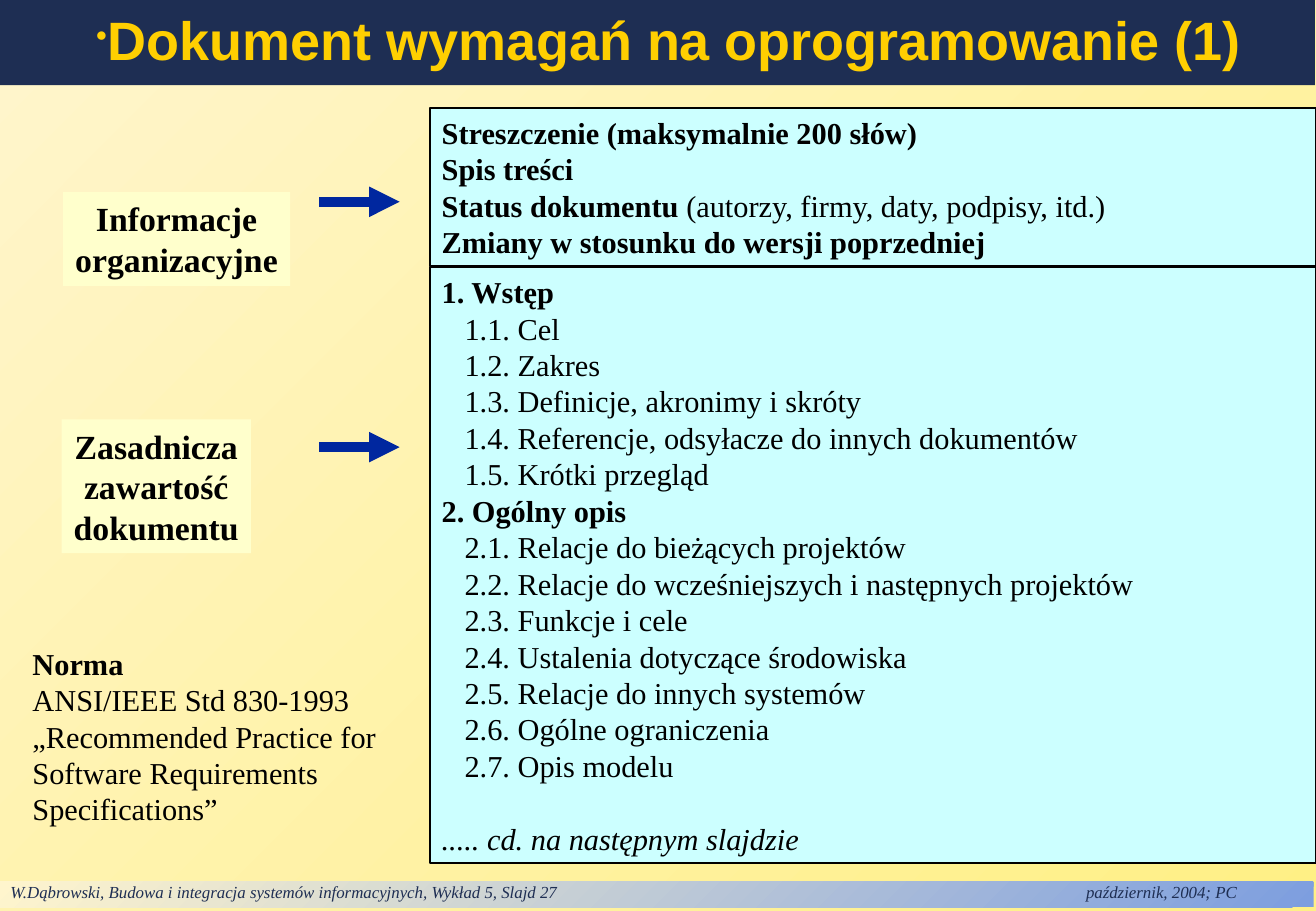
import pptx
import pptx.util
import pptx.dml.color
import pptx.enum.dml
import pptx.enum.shapes
import pptx.enum.text
import pptx.oxml
import pptx.oxml.ns
from lxml import etree

Cm, Pt = pptx.util.Cm, pptx.util.Pt
ALIGN = pptx.enum.text.PP_ALIGN
ANCHOR = pptx.enum.text.MSO_ANCHOR
NAVY, GOLD, BLUE, BLACK = "1E2E53", "FFCF01", "00279F", "000000"
CREAM, YELLOW, SKY, PALE, CYAN = "FFF5CD", "FFF085", "7D9EDF", "FFFFCC", "CCFFFF"


def rgb(value):
    return pptx.dml.color.RGBColor.from_string(value)


def add_xml(parent, tag, **attrs):
    el = etree.SubElement(parent, pptx.oxml.ns.qn(tag))
    for key, value in attrs.items():
        el.set(key, str(value))
    return el


class Slide:
    serif = "Times New Roman"
    sans = "Arial"

    def __init__(self, prs):
        self.s = prs.slides.add_slide(prs.slide_layouts[6])

    def gradient(self, fill, start, end):
        fill.gradient()
        fill.gradient_angle = 135
        for stop, color in zip(fill.gradient_stops, (start, end)):
            stop.color.rgb = rgb(color)

    def box(self, left, top, width, height, fill=None, line=None, wrap=True):
        area = Cm(left), Cm(top), Cm(width), Cm(height)
        if fill is None:
            sp = self.s.shapes.add_textbox(*area)
        else:
            sp = self.s.shapes.add_shape(pptx.enum.shapes.MSO_SHAPE.RECTANGLE, *area)
            sp.shadow.inherit = False
            if isinstance(fill, tuple):
                self.gradient(sp.fill, *fill)
            else:
                sp.fill.solid()
                sp.fill.fore_color.rgb = rgb(fill)
            if line:
                sp.line.color.rgb = rgb(line)
                sp.line.width = Pt(1)
            else:
                sp.line.fill.background()
        tf = sp.text_frame
        tf.word_wrap = wrap
        tf.vertical_anchor = ANCHOR.TOP
        return tf

    def paragraph(self, tf, runs, size=18, color=BLACK, font=None, align=ALIGN.LEFT, indent=0):
        p = tf.paragraphs[0]
        if p.runs:
            p = tf.add_paragraph()
        p.alignment = align
        if indent:
            p._p.get_or_add_pPr().set("marL", str(Cm(indent)))
        for text, style in runs:
            r = p.add_run()
            r.text = text
            r.font.name = font or self.serif
            r.font.size = Pt(size)
            r.font.color.rgb = rgb(color)
            r.font.bold = "b" in style
            r.font.italic = "i" in style
        return p

    def title(self, text):
        tf = self.box(0, 0, 27.51, 1.78, NAVY)
        tf.vertical_anchor = ANCHOR.MIDDLE
        p = self.paragraph(tf, [(text, "b")], 32, GOLD, self.sans)
        p.line_spacing = 0.9
        pPr = p._p.get_or_add_pPr()
        pPr.set("marL", str(Cm(0.74)))
        pPr.set("indent", str(Cm(1.02)))
        add_xml(add_xml(pPr, "a:buClr"), "a:srgbClr", val=GOLD)
        add_xml(pPr, "a:buSzPct", val=60000)
        add_xml(pPr, "a:buChar", char="•")

    def footer(self, text):
        tf = self.box(-0.03, 18.44, 27.51, 0.53, (SKY, CREAM))
        tf.margin_top, tf.margin_bottom = 0, Cm(0.1)
        p = self.paragraph(tf, [(text, "i")], 10, NAVY)
        tabs = add_xml(p._p.get_or_add_pPr(), "a:tabLst")
        add_xml(tabs, "a:tab", pos=Cm(22.5), algn="l")

    def label(self, left, top, width, height, lines):
        tf = self.box(left, top, width, height, PALE, wrap=False)
        for text in lines:
            self.paragraph(tf, [(text, "b")], 20, align=ALIGN.CENTER)

    def arrow(self, y):
        c = self.s.shapes.add_connector(
            pptx.enum.shapes.MSO_CONNECTOR.STRAIGHT, Cm(6.68), Cm(y), Cm(8.36), Cm(y))
        c.line.color.rgb = rgb(BLUE)
        c.line.width = Pt(6)
        add_xml(c.line._get_or_add_ln(), "a:tailEnd", type="triangle")
        add_xml(c._element.spPr, "a:effectLst")


SUMMARY = [
    [("Streszczenie (maksymalnie 200 słów)", "b")],
    [("Spis treści", "b")],
    [("Status dokumentu ", "b"), ("(autorzy, firmy, daty, podpisy, itd.)", "")],
    [("Zmiany w stosunku do wersji poprzedniej", "b")],
]
CHAPTERS = {
    "1. Wstęp": [
        "1.1. Cel",
        "1.2. Zakres",
        "1.3. Definicje, akronimy i skróty",
        "1.4. Referencje, odsyłacze do innych dokumentów",
        "1.5. Krótki przegląd",
    ],
    "2. Ogólny opis": [
        "2.1. Relacje do bieżących projektów",
        "2.2. Relacje do wcześniejszych i następnych projektów",
        "2.3. Funkcje i cele",
        "2.4. Ustalenia dotyczące środowiska",
        "2.5. Relacje do innych systemów",
        "2.6. Ogólne ograniczenia",
        "2.7. Opis modelu",
    ],
}
STANDARD = [
    ("Norma", "b"),
    ("ANSI/IEEE Std 830-1993", ""),
    ("„Recommended Practice for Software Requirements Specifications”", ""),
]


def main():
    prs = pptx.Presentation()
    prs.slide_width, prs.slide_height = Cm(27.53), Cm(19.05)
    slide = Slide(prs)
    slide.gradient(slide.s.background.fill, YELLOW, CREAM)
    slide.footer("W.Dąbrowski, Budowa i integracja systemów informacyjnych, "
                 "Wykład 5, Slajd 27\tpaździernik, 2004; PC")
    slide.title("Dokument wymagań na oprogramowanie (1)")

    tf = slide.box(8.99, 2.26, 18.54, 3.3, CYAN, BLACK)
    for runs in SUMMARY:
        slide.paragraph(tf, runs)

    tf = slide.box(8.99, 5.59, 18.54, 12.46, CYAN, BLACK)
    for chapter, sections in CHAPTERS.items():
        slide.paragraph(tf, [(chapter, "b")])
        for section in sections:
            slide.paragraph(tf, [(section, "")], indent=0.48)
    p = slide.paragraph(tf, [("..... cd. na następnym slajdzie", "i")])
    p.space_before = Pt(21.6)

    slide.label(1.32, 4.02, 4.75, 1.96, ["Informacje", "organizacyjne"])
    slide.label(1.29, 8.77, 3.96, 2.8, ["Zasadnicza", "zawartość", "dokumentu"])
    for y in (4.22, 9.35):
        slide.arrow(y)

    tf = slide.box(0.43, 13.36, 8.28, 4.06)
    for run in STANDARD:
        slide.paragraph(tf, [run])
    prs.save("out.pptx")


if __name__ == "__main__":
    main()
